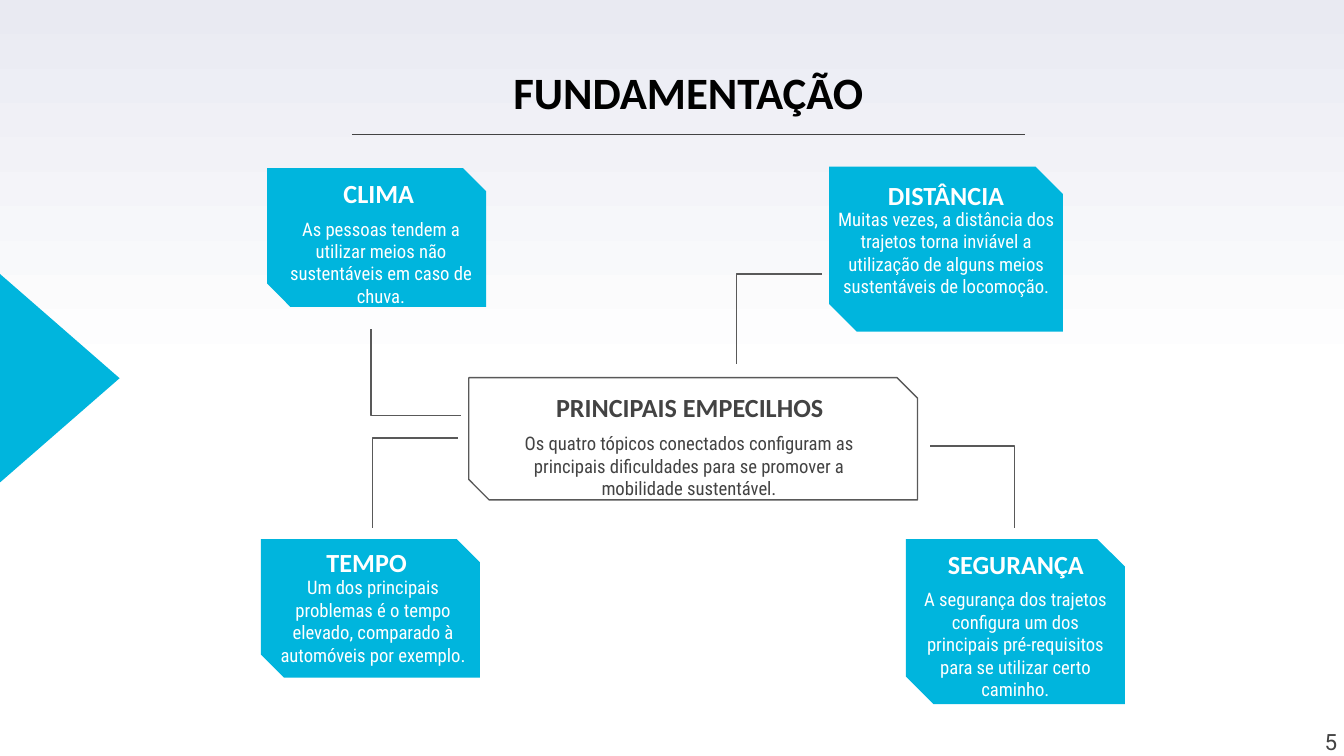
from dataclasses import dataclass

from pptx import Presentation
from pptx.dml.color import RGBColor
from pptx.enum.shapes import MSO_CONNECTOR, MSO_SHAPE
from pptx.enum.text import MSO_ANCHOR, PP_ALIGN
from pptx.oxml import parse_xml
from pptx.oxml.ns import nsdecls, qn
from pptx.shapes.autoshape import Shape
from pptx.shapes.connector import Connector
from pptx.slide import Slide
from pptx.util import Cm, Pt

Box = tuple[float, float, float, float]
Point = tuple[float, float]

CYAN = "00B5DD"
WHITE = "FFFFFF"
BLACK = "000000"
DARK = "434343"
GRAY = "595959"
HEADING_FONT = "Calibri"
BODY_FONT = "Roboto Condensed"


@dataclass
class Card:
    heading: str
    body: str
    frame: Box
    heading_box: Box
    body_box: Box
    fill: str | None = CYAN
    ink: str = WHITE


@dataclass
class Elbow:
    vertical_end: Point
    horizontal_end: Point


CARDS = [
    Card("TEMPO",
         "Um dos principais problemas é o tempo elevado, comparado à automóveis por exemplo.",
         (4.93, 10.19, 4.14, 2.62), (4.95, 10.08, 3.96, 1.09), (4.93, 10.64, 4.24, 1.73)),
    Card("SEGURANÇA",
         "A segurança dos trajetos configura um dos principais pré-requisitos para se utilizar certo caminho.",
         (17.12, 10.19, 4.14, 3.12), (17.22, 10.11, 3.96, 1.09), (17.12, 10.87, 4.14, 1.73)),
    Card("PRINCIPAIS EMPECILHOS",
         "Os quatro tópicos conectados configuram as principais dificuldades para se promover a mobilidade sustentável.",
         (8.86, 7.14, 8.48, 2.31), (8.86, 7.16, 8.36, 1.09), (9.17, 7.92, 7.7, 2.29),
         fill=None, ink=DARK),
    Card("CLIMA",
         "As pessoas tendem a utilizar meios não sustentáveis em caso de chuva.",
         (5.05, 3.18, 4.14, 2.62), (5.18, 3.1, 3.96, 1.09), (5.13, 3.86, 4.14, 1.73)),
    Card("DISTÂNCIA",
         "Muitas vezes, a distância dos trajetos torna inviável a utilização de alguns meios sustentáveis de locomoção.",
         (15.67, 3.15, 4.42, 3.12), (15.9, 3.15, 3.96, 1.09), (15.34, 3.68, 5.08, 1.73)),
]

ELBOWS = [
    Elbow((7.04, 9.98), (8.66, 8.28)),
    Elbow((19.18, 9.98), (17.58, 8.43)),
    Elbow((7.01, 6.22), (8.71, 7.85)),
    Elbow((13.92, 6.88), (15.54, 5.18)),
]


def color(value: str) -> RGBColor:
    return RGBColor.from_string(value)


def paint_background(slide: Slide) -> None:
    fill = slide.background.fill
    fill.gradient()
    fill.gradient_angle = 90
    for stop, position, value in zip(fill.gradient_stops, (0.5, 1), (WHITE, "E9EAF2")):
        stop.position = position
        stop.color.rgb = color(value)


def add_outline(slide: Slide, kind: MSO_SHAPE, box: Box, fill: str | None) -> Shape:
    shape = slide.shapes.add_shape(kind, *map(Cm, box))
    shape.shadow.inherit = False
    if fill:
        shape.fill.solid()
        shape.fill.fore_color.rgb = color(fill)
        shape.line.fill.background()
    else:
        shape.fill.background()
        shape.line.color.rgb = color(GRAY)
        shape.line.width = Pt(0.75)
    return shape


def add_text(slide: Slide, text: str, box: Box, font: str, size: float, ink: str,
             bold: bool = False, anchor: MSO_ANCHOR = MSO_ANCHOR.TOP,
             align: PP_ALIGN = PP_ALIGN.CENTER, inset: float = 0.25) -> None:
    text_frame = slide.shapes.add_textbox(*map(Cm, box)).text_frame
    text_frame.word_wrap = True
    text_frame.vertical_anchor = anchor
    text_frame.margin_left = text_frame.margin_right = Cm(inset)
    text_frame.margin_top = text_frame.margin_bottom = Cm(inset)
    text_frame.text = text
    paragraph = text_frame.paragraphs[0]
    paragraph.alignment = align
    run = paragraph.runs[0]
    run.font.name = font
    run.font.size = Pt(size)
    run.font.bold = bold
    run.font.color.rgb = color(ink)


def add_card(slide: Slide, card: Card) -> None:
    shape = add_outline(slide, MSO_SHAPE.SNIP_2_DIAG_RECTANGLE, card.frame, card.fill)
    shape.adjustments[0] = 0
    shape.adjustments[1] = 0.167
    add_text(slide, card.heading, card.heading_box, HEADING_FONT, 14, card.ink,
             bold=True, anchor=MSO_ANCHOR.BOTTOM)
    add_text(slide, card.body, card.body_box, BODY_FONT, 10, card.ink)


def add_line(slide: Slide, kind: MSO_CONNECTOR, start: Point, end: Point, ink: str) -> Connector:
    connector = slide.shapes.add_connector(kind, *map(Cm, start + end))
    connector.line.color.rgb = color(ink)
    connector.line.width = Pt(0.75)
    connector.element.spPr.append(parse_xml(f"<a:effectLst {nsdecls('a')}/>"))
    return connector


def add_elbow(slide: Slide, elbow: Elbow) -> None:
    connector = add_line(slide, MSO_CONNECTOR.ELBOW, elbow.vertical_end, elbow.horizontal_end, GRAY)
    geometry = connector.element.spPr.find(qn("a:prstGeom"))
    for adjustments in geometry.findall(qn("a:avLst")):
        geometry.remove(adjustments)
    geometry.append(parse_xml(
        f'<a:avLst {nsdecls("a")}><a:gd name="adj1" fmla="val 0"/></a:avLst>'))


def main() -> None:
    presentation = Presentation()
    presentation.slide_width = Cm(25.4)
    presentation.slide_height = Cm(14.29)
    slide = presentation.slides.add_slide(presentation.slide_layouts[6])

    paint_background(slide)
    triangle = add_outline(slide, MSO_SHAPE.ISOSCELES_TRIANGLE, (-0.84, 6.02, 3.94, 2.26), CYAN)
    triangle.rotation = 90
    add_text(slide, "FUNDAMENTAÇÃO", (5.77, 0.97, 14.48, 2.62), HEADING_FONT, 24, BLACK, bold=True)
    add_line(slide, MSO_CONNECTOR.STRAIGHT, (6.65, 2.54), (19.38, 2.54), DARK)
    for card in CARDS:
        add_card(slide, card)
    for elbow in ELBOWS:
        add_elbow(slide, elbow)
    add_text(slide, "5", (24, 12.98, 1.27, 1.3), "Roboto", 12, DARK,
             anchor=MSO_ANCHOR.BOTTOM, align=PP_ALIGN.RIGHT, inset=0)

    presentation.save("out.pptx")


if __name__ == "__main__":
    main()
